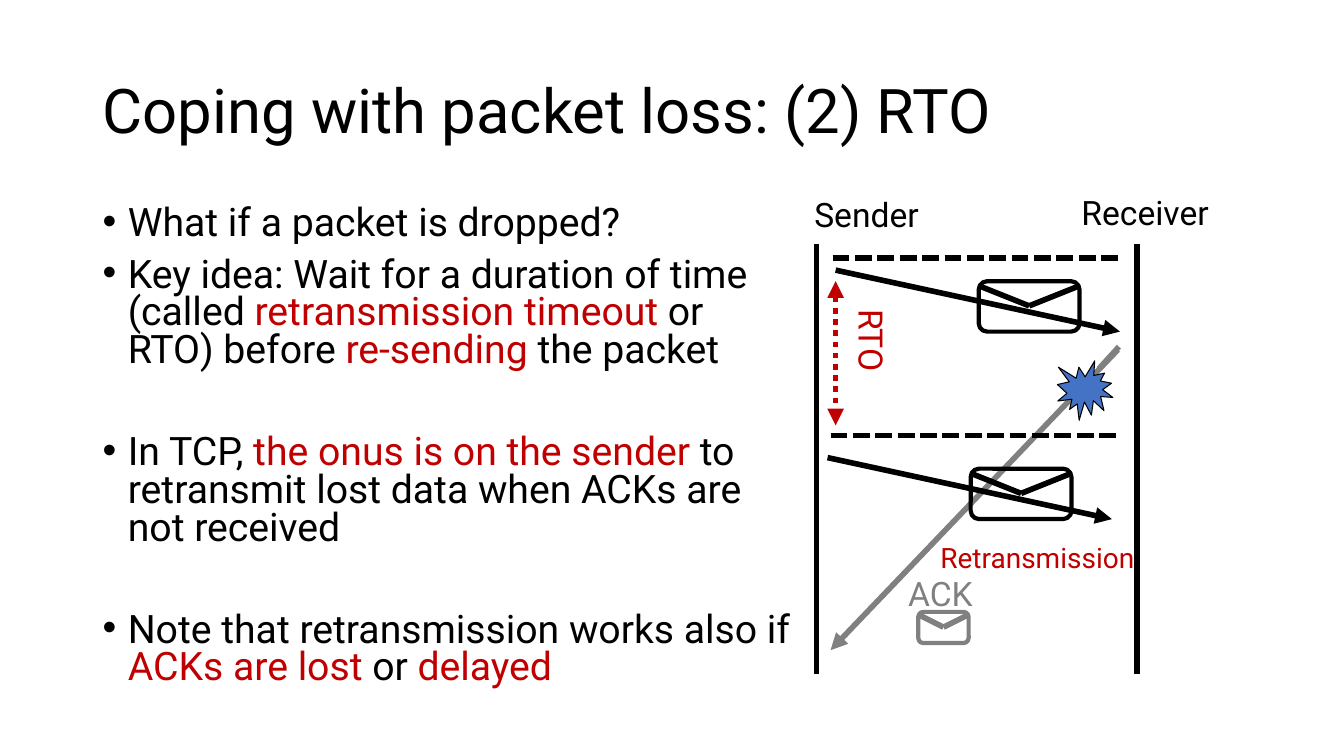
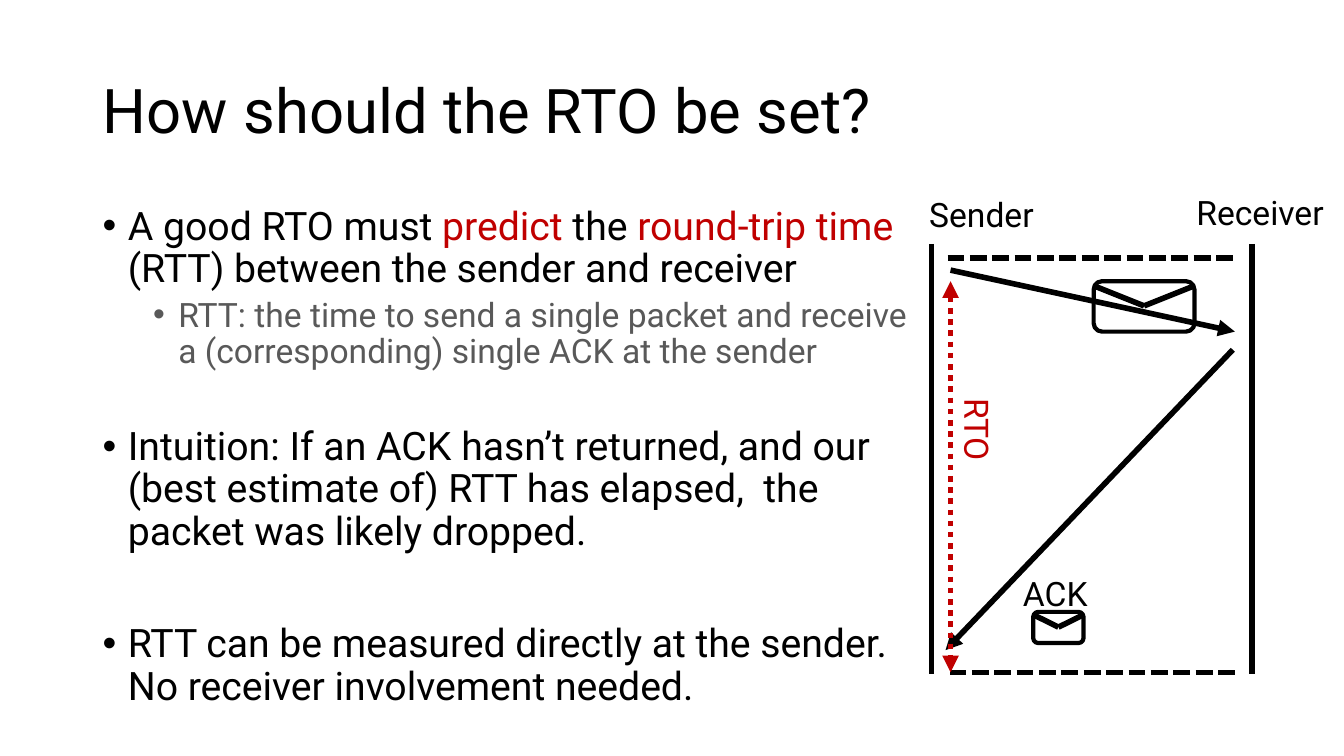
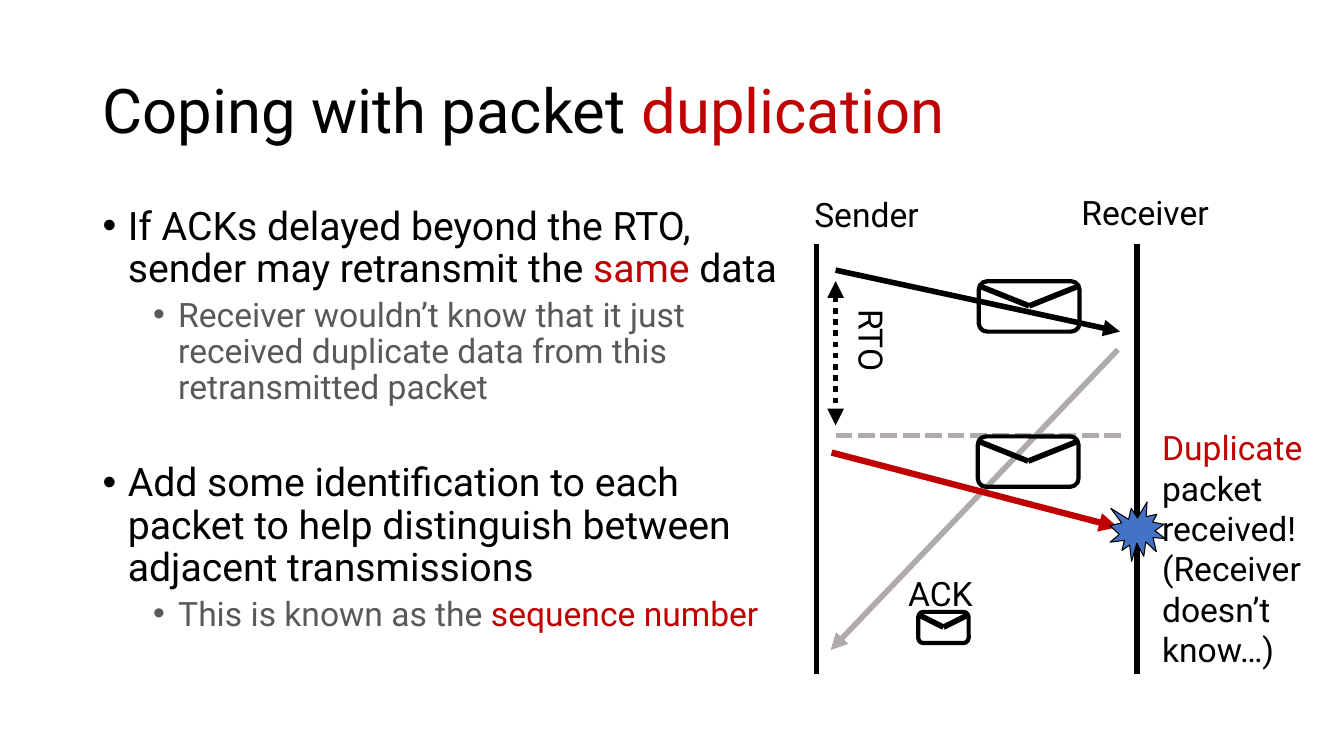
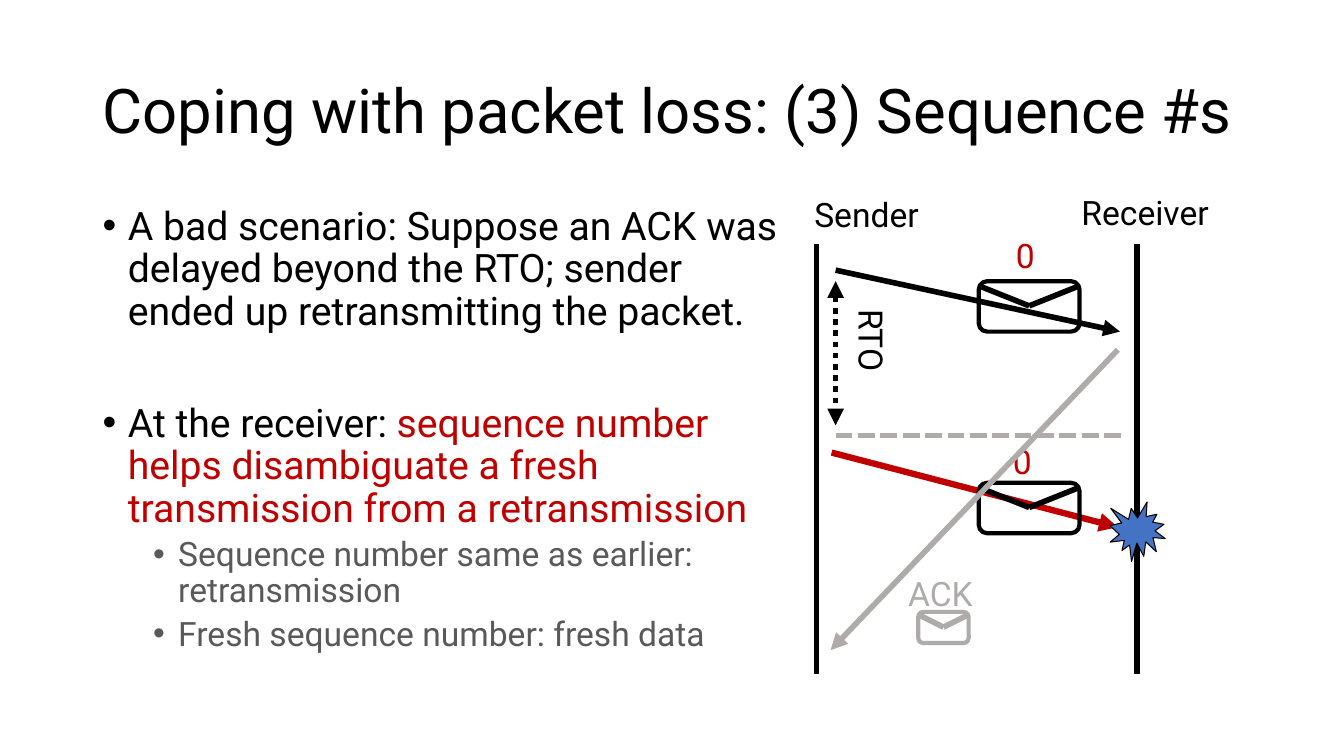
"""Build four slides on retransmission timeouts and sequence numbers."""
from dataclasses import dataclass
from functools import singledispatch
from typing import NamedTuple, Optional

from lxml.etree import SubElement
from pptx import Presentation
from pptx.dml.color import RGBColor
from pptx.enum.dml import MSO_LINE
from pptx.enum.shapes import MSO_CONNECTOR, MSO_SHAPE
from pptx.enum.text import MSO_ANCHOR, MSO_AUTO_SIZE, PP_ALIGN
from pptx.oxml.ns import qn
from pptx.util import Emu, Inches, Pt


@dataclass(frozen=True)
class Theme:
    """Colours, font, type sizes and line widths."""
    ink: RGBColor = RGBColor(0, 0, 0)
    accent: RGBColor = RGBColor(0xC0, 0, 0)
    sub: RGBColor = RGBColor(0x59, 0x59, 0x59)
    lost: RGBColor = RGBColor(0x80, 0x80, 0x80)
    faded: RGBColor = RGBColor(0xAF, 0xAB, 0xAB)
    burst: RGBColor = RGBColor(0x44, 0x72, 0xC4)
    font: str = "Roboto"
    title: float = 44
    body: tuple = (28, 24)
    label: float = 24
    note: float = 20
    stroke: float = 4
    frame: float = 3
    bold_stroke: float = 4.5
    hairline: float = 0.75


T = Theme()
W, H = Inches(13.333), Inches(7.5)
ROWS = 75
CELL = H / ROWS
MARGIN = 9.2
LANE = 31.8
NEAR, FAR = 81, 92.4
DASH, DOT = MSO_LINE.SQUARE_DOT, MSO_LINE.ROUND_DOT


class Run(NamedTuple):
    """Text in one colour."""
    text: str
    color: RGBColor = T.ink


class Para(NamedTuple):
    """Bullet at a level, with a wide gap above when it opens a block."""
    runs: list[Run]
    level: int = 0
    opens: bool = False
    gap: float = 40


@dataclass(frozen=True)
class Line:
    """Straight line, in cells from the sender's lifeline."""
    x1: float
    y1: float
    x2: float
    y2: float
    color: RGBColor = T.ink
    width: float = T.stroke
    dash: Optional[MSO_LINE] = None
    head: bool = False
    tail: bool = False


@dataclass(frozen=True)
class Envelope:
    """Packet icon."""
    x: float
    y: float
    w: float = 10
    h: float = 5
    color: RGBColor = T.ink


@dataclass(frozen=True)
class Burst:
    """Star that marks a loss or a clash."""
    x: float
    y: float
    w: float = 5.5
    h: float = 5.9


@dataclass(frozen=True)
class Label:
    """Text beside the diagram, one paragraph per run."""
    x: float
    y: float
    w: float
    runs: tuple[Run, ...]
    h: float = 5
    size: float = T.label
    turn: float = 0
    wrap: bool = True


@dataclass(frozen=True)
class Page:
    """One slide: title, bullets and message diagram."""
    title: list[Run]
    bullets: list[Para]
    marks: list
    lane_x: float = NEAR
    title_w: float = 115
    body_w: float = 70.4
    body_h: float = 51
    spacing: float = 0.9


def cells(*values: float) -> list[Emu]:
    """Turn grid cells into lengths."""
    return [Emu(round(v * CELL)) for v in values]


def add_run(p, run: Run, size: float) -> None:
    """Add one formatted run."""
    r = p.add_run()
    r.text = run.text
    r.font.size, r.font.name = Pt(size), T.font
    r.font.color.rgb = run.color


@singledispatch
def draw(mark, shapes, x0: float) -> None:
    """Draw one mark of the diagram."""
    raise TypeError(mark)


@draw.register(Line)
def draw_line(mark: Line, shapes, x0: float) -> None:
    """Draw a line with its dash and arrowheads."""
    c = shapes.add_connector(MSO_CONNECTOR.STRAIGHT, *cells(
        x0 + mark.x1, mark.y1, x0 + mark.x2, mark.y2))
    c.line.color.rgb, c.line.width = mark.color, Pt(mark.width)
    if mark.dash is not None:
        c.line.dash_style = mark.dash
    ln = c._element.spPr.find(qn("a:ln"))
    for tag, wanted in (("a:headEnd", mark.head), ("a:tailEnd", mark.tail)):
        if wanted:
            SubElement(ln, qn(tag), type="triangle")
    SubElement(c._element.spPr, qn("a:effectLst"))


@draw.register(Envelope)
def draw_envelope(mark: Envelope, shapes, x0: float) -> None:
    """Draw a rounded frame with a two-line flap."""
    group = shapes.add_group_shape().shapes
    sp = group.add_shape(MSO_SHAPE.ROUNDED_RECTANGLE,
                         *cells(x0 + mark.x, mark.y, mark.w, mark.h))
    sp.shadow.inherit = False
    sp.fill.background()
    sp.line.color.rgb, sp.line.width = mark.color, Pt(T.frame)
    top, fold = mark.y + 0.09 * mark.h, mark.y + 0.49 * mark.h
    mid = mark.x + mark.w / 2
    draw(Line(mark.x, top, mid, fold, mark.color), group, x0)
    draw(Line(mid, fold, mark.x + mark.w, top, mark.color), group, x0)


@draw.register(Burst)
def draw_burst(mark: Burst, shapes, x0: float) -> None:
    """Draw a filled star."""
    sp = shapes.add_shape(MSO_SHAPE.EXPLOSION1,
                          *cells(x0 + mark.x, mark.y, mark.w, mark.h))
    sp.shadow.inherit = False
    sp.fill.solid()
    sp.fill.fore_color.rgb = T.burst
    sp.line.color.rgb, sp.line.width = T.ink, Pt(T.hairline)


@draw.register(Label)
def draw_label(mark: Label, shapes, x0: float) -> None:
    """Draw a label."""
    sp = shapes.add_textbox(*cells(x0 + mark.x, mark.y, mark.w, mark.h))
    sp.rotation = mark.turn
    tf = sp.text_frame
    tf.word_wrap = mark.wrap
    for i, run in enumerate(mark.runs):
        p = tf.add_paragraph() if i else tf.paragraphs[0]
        add_run(p, run, mark.size)


def add_title(s, page: Page) -> None:
    """Place and format the title placeholder."""
    sp = s.shapes.title
    sp.left, sp.top, sp.width, sp.height = cells(
        MARGIN, 4, page.title_w, 14.5)
    tf = sp.text_frame
    tf.auto_size, tf.word_wrap = MSO_AUTO_SIZE.NONE, True
    tf.vertical_anchor = MSO_ANCHOR.MIDDLE
    p = tf.paragraphs[0]
    p.alignment, p.line_spacing = PP_ALIGN.LEFT, 0.9
    for run in page.title:
        add_run(p, run, T.title)


def add_bullets(s, page: Page) -> None:
    """Write the bulleted text."""
    tf = s.shapes.add_textbox(*cells(
        MARGIN, 20, page.body_w, page.body_h)).text_frame
    tf.word_wrap = True
    for i, para in enumerate(page.bullets):
        p = tf.add_paragraph() if i else tf.paragraphs[0]
        p.level, p.line_spacing = para.level, page.spacing
        p.space_before = Pt(para.gap if para.opens else (10, 5)[para.level])
        pPr = p._p.get_or_add_pPr()
        pPr.set("marL", str(Inches(0.25 + 0.5 * para.level)))
        pPr.set("indent", str(Inches(-0.25)))
        SubElement(pPr, qn("a:buFont"), typeface="Arial")
        SubElement(pPr, qn("a:buChar"), char="•")
        for run in para.runs:
            add_run(p, run, T.body[para.level])


def ladder(ack_color: RGBColor = T.ink) -> list:
    """Give the lifelines, first packet and ACK icon."""
    return [
        *(Line(x, 24.2, x, 66.9) for x in (0, LANE)),
        Line(1.9, 26.8, 30.1, 32.9, tail=True),
        Label(-1.2, 18.7, 15.1, (Run("Sender"),)),
        Label(25.3, 18.5, 16.8, (Run("Receiver"),)),
        Envelope(16.1, 27.9),
        Envelope(10.1, 60.7, 5, 3.1, ack_color),
        Label(8.1, 56.3, 8.9, (Run("ACK", ack_color),), wrap=False),
    ]


def ack(color: RGBColor) -> Line:
    """Give the returning arrow."""
    return Line(29.9, 34.7, 1.4, 64.5, color, tail=True)


def timeout(color: RGBColor, end: float = 42.2, x: float = 0,
            y: float = 32.7) -> list:
    """Give the RTO span and its turned label."""
    return [
        Line(1.9, 27.9, 1.9, end, color, dash=DOT, head=True, tail=True),
        Label(x, y, 11, (Run("RTO", color),), turn=90),
    ]


def rule(x: float, y: float, color: RGBColor = T.ink) -> Line:
    """Give a dashed line across the lane."""
    return Line(x, y, x + 28.5, y, color, dash=DASH)


def duplicate() -> list:
    """Give the retransmitted packet's arrow and its clash."""
    return [
        Line(1.5, 44.9, 29.9, 52.3, T.accent, T.bold_stroke, tail=True),
        Burst(29.1, 49.8),
    ]


def hot(text: str) -> Run:
    """Give an accented run."""
    return Run(text, T.accent)


def detail(*runs: Run) -> Para:
    """Give a second-level bullet."""
    return Para(list(runs), 1)


def digit(x: float, y: float) -> Label:
    """Give a sequence number."""
    return Label(x, y, 5, (hot("0"),))


PAGES = [
    Page(
        [Run("Coping with packet loss: (2) RTO")],
        [
            Para([Run("What if a packet is dropped?")]),
            Para([Run("Key idea: Wait for a duration of time (called "),
                  hot("retransmission timeout "), Run("or RTO) before "),
                  hot("re-sending "), Run("the packet")]),
            Para([Run("In TCP, "), hot("the onus is on the sender "),
                  Run("to retransmit lost data when ACKs are not received")],
                 opens=True, gap=46),
            Para([Run("Note that retransmission works also if "),
                  hot("ACKs are lost"), Run(" or "), hot("delayed")],
                 opens=True, gap=46),
        ],
        [
            *ladder(T.lost), ack(T.lost),
            rule(1.4, 43.2), rule(1.6, 25.6), *timeout(T.accent),
            Line(1.1, 45.4, 29.3, 51.5, tail=True),
            Envelope(15.3, 46.5),
            Label(11.3, 53.1, 21.9, (hot("Retransmission"),), 4.4, T.note),
            Burst(23.9, 35.8),
            Line(30, 34.4, 28, 36.6, T.lost),
        ],
        title_w=121.4, spacing=0.8),
    Page(
        [Run("How should the RTO be set?")],
        [
            Para([Run("A good RTO must "), hot("predict"), Run(" the "),
                  hot("round-trip time"),
                  Run(" (RTT) between the sender and receiver")]),
            detail(Run("RTT: the time to send a single packet and receive a "
                       "(corresponding) single ACK at the sender", T.sub)),
            Para([Run("Intuition: If an ACK hasn’t returned, and our (best "
                      "estimate of) RTT has elapsed,  the packet was likely "
                      "dropped.")], opens=True),
            Para([Run("RTT can be measured directly at the sender.  No "
                      "receiver involvement needed.")], opens=True, gap=50),
        ],
        [
            *ladder(), ack(T.ink), rule(1.8, 66.7), rule(1.6, 25.6),
            *timeout(T.accent, 66.7, -0.9, 41.6),
        ],
        lane_x=FAR, body_w=83.9, body_h=55),
    Page(
        [Run("Coping with packet "), hot("duplication")],
        [
            Para([Run("If ACKs delayed beyond the RTO, sender may "
                      "retransmit the "), hot("same"), Run(" data")]),
            detail(Run("Receiver wouldn’t know that it just received "
                       "duplicate data from this retransmitted packet",
                       T.sub)),
            Para([Run("Add some identification to each packet to help "
                      "distinguish between adjacent transmissions")],
                 opens=True),
            detail(Run("This is known as the ", T.sub),
                   hot("sequence number")),
        ],
        [
            *ladder(), ack(T.faded), rule(1.9, 43.2, T.faded),
            *timeout(T.ink), *duplicate(),
            Label(33.3, 41.9, 18.8,
                  (hot("Duplicate"), Run("packet received!"),
                   Run("(Receiver doesn’t know…)")), 25.2),
            Envelope(16, 43.3),
        ]),
    Page(
        [Run("Coping with packet loss: (3) Sequence #s")],
        [
            Para([Run("A bad scenario: Suppose an ACK was delayed beyond the "
                      "RTO; sender ended up retransmitting the packet.")]),
            Para([Run("At the receiver: "),
                  hot("sequence number helps disambiguate a fresh "
                      "transmission from a retransmission")],
                 opens=True, gap=50),
            detail(Run("Sequence number same as earlier: retransmission",
                       T.sub)),
            detail(Run("Fresh sequence number: fresh data", T.sub)),
        ],
        [
            *ladder(T.faded), rule(1.9, 43.2, T.faded), *timeout(T.ink),
            *duplicate(), digit(18.8, 22.8), Envelope(16.1, 47.9),
            digit(18.5, 43.3), ack(T.faded),
        ]),
]


def main() -> None:
    """Build and save the deck."""
    prs = Presentation()
    prs.slide_width, prs.slide_height = W, H
    title_only = prs.slide_layouts.get_by_name("Title Only")
    for page in PAGES:
        s = prs.slides.add_slide(title_only)
        add_title(s, page)
        add_bullets(s, page)
        for mark in page.marks:
            draw(mark, s.shapes, page.lane_x)
    prs.save("out.pptx")


if __name__ == "__main__":
    main()
